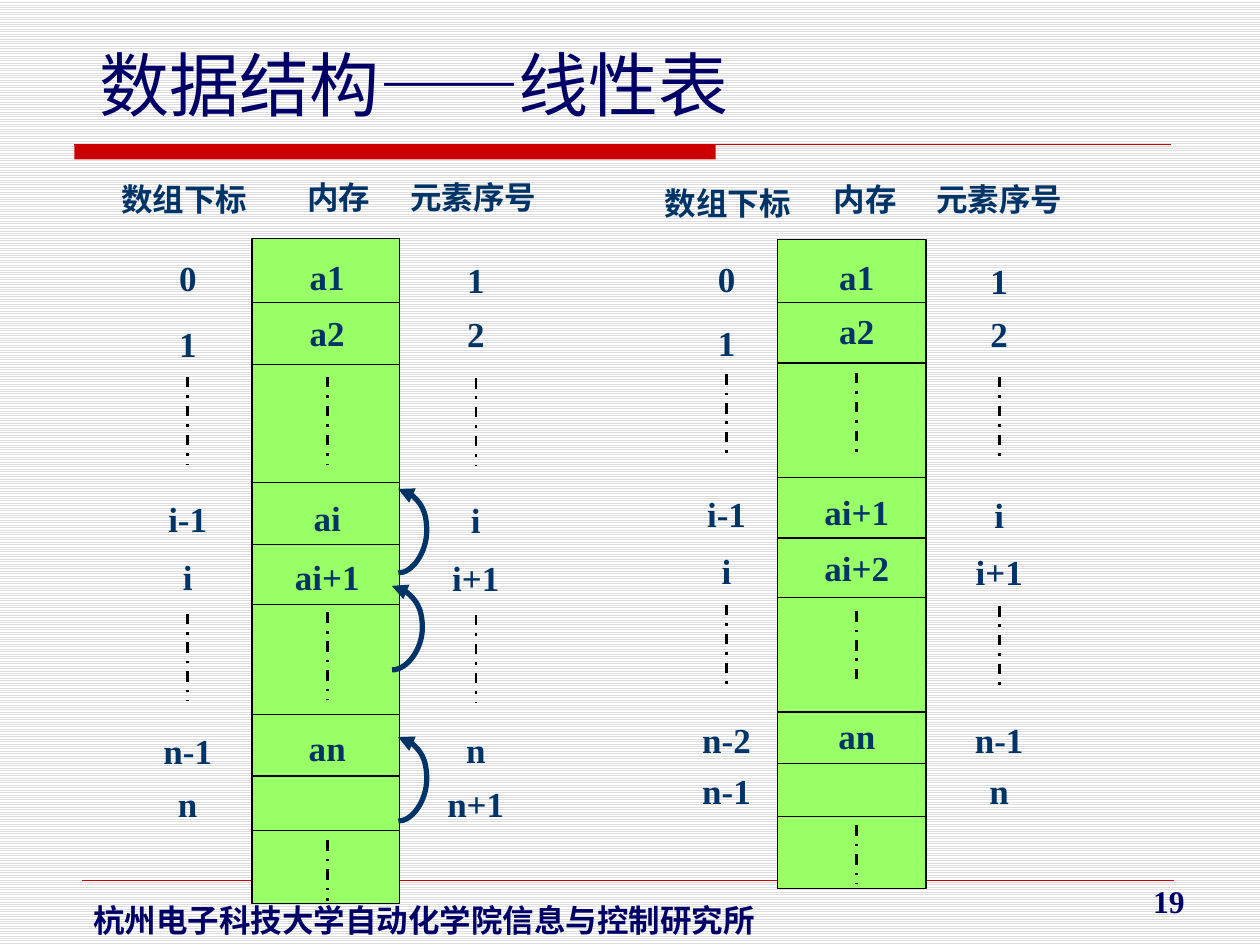
from lxml.etree import SubElement
from pptx import Presentation
from pptx.dml.color import RGBColor
from pptx.enum.dml import MSO_LINE, MSO_PATTERN
from pptx.enum.shapes import MSO_CONNECTOR as Link, MSO_SHAPE
from pptx.enum.text import MSO_ANCHOR, MSO_AUTO_SIZE, PP_ALIGN
from pptx.oxml.ns import qn
from pptx.util import Pt

WHITE = RGBColor(0xFF, 0xFF, 0xFF)
STRIPE = RGBColor(0xDD, 0xDD, 0xDD)
BLACK = RGBColor(0, 0, 0)
RED = RGBColor(0xCC, 0, 0)
NAVY = RGBColor(0, 0, 0x66)
BLUE = RGBColor(0, 0x33, 0x66)
GREEN = RGBColor(0x99, 0xFF, 0x66)
SERIF = "Times New Roman"

TITLE = [("数据结构", "DejaVu Sans"), ("——", "Arial"), ("线性表", "DejaVu Sans")]
FOOTER = "杭州电子科技大学自动化学院信息与控制研究所"
PAGE_NUMBER = "19"

LABEL_WIDTHS = {
    "数组下标": 88, "内存": 52, "元素序号": 88,
    "0": 26, "1": 26, "2": 26, "i": 22, "n": 28,
    "a1": 37, "a2": 37, "ai": 32, "an": 38, "ai+1": 54, "ai+2": 54,
    "i-1": 39, "i+1": 44, "n-1": 45, "n-2": 45, "n+1": 50,
}

# Each column: centre, (heading, centre, top), (label, top) pairs, dashed spans.
ARRAYS = [
    {
        "memory": (144, 136.1, 84.2, 380.2),
        "dividers": [172.8, 208.1, 275.8, 311, 345.6, 408.2, 443.5, 474.5],
        "columns": [
            (107.3, ("数组下标", 105.4, 99.4),
             [("0", 143.3), ("1", 180.7), ("i-1", 280.8), ("i", 313.9), ("n-1", 413.3), ("n", 443.5)],
             [(215.3, 265.7), (350.6, 400.3)]),
            (187, ("内存", 193.7, 98),
             [("a1", 142.6), ("a2", 174.2), ("ai", 280.1), ("ai+1", 313.9), ("an", 411.8)],
             [(215.3, 265), (350, 400.3), (480.2, 514.8)]),
            (271.9, ("元素序号", 270.5, 98),
             [("1", 144), ("2", 175), ("i", 281.5), ("i+1", 314.6), ("n", 412.6), ("n+1", 443.5)],
             [(216, 266.4), (351.4, 401)]),
        ],
    },
    {
        "memory": (444.2, 136.8, 85, 370.8),
        "dividers": [172.8, 207.4, 272.9, 307.4, 341.3, 406.8, 436.3, 466.6],
        "columns": [
            (415.2, ("数组下标", 416, 101.5),
             [("0", 143.6), ("1", 180), ("i-1", 277.9), ("i", 310.3), ("n-2", 406.8), ("n-1", 436.3)],
             [(213.8, 262.8), (345.6, 394.6)]),
            (489.6, ("内存", 494.6, 99.4),
             [("a1", 142.6), ("a2", 173.5), ("ai+1", 276.5), ("ai+2", 308.9), ("an", 404.6)],
             [(213.1, 262), (349.2, 389.5), (471.6, 505.4)]),
            (571, ("元素序号", 571, 99.4),
             [("1", 144.7), ("2", 175), ("i", 278.6), ("i+1", 311), ("n-1", 406.8), ("n", 436.3)],
             [(215.3, 264.2), (346.3, 395.3)]),
        ],
    },
]
MOVES = [(227.5, 421.2, 15), (223.9, 334.8, 16), (227.5, 279.4, 15)]
MOVE_HEIGHT = 48
MOVE_WIDTH = 0.13


def add_text(page, spans, left, top, width, height, size, color, bold=True, align=PP_ALIGN.LEFT):
    box = page.shapes.add_textbox(Pt(left), Pt(top), Pt(width), Pt(height))
    frame = box.text_frame
    frame.word_wrap = False
    frame.auto_size = MSO_AUTO_SIZE.NONE
    para = frame.paragraphs[0]
    para.alignment = align
    for text, font in spans:
        span = para.add_run()
        span.text = text
        span.font.size = Pt(size)
        span.font.bold = bold
        span.font.color.rgb = color
        span.font.name = font
    return frame


def add_label(page, text, center, top, size=20, height=31):
    width = LABEL_WIDTHS[text]
    add_text(page, [(text, SERIF)], center - width / 2, top, width, height, size, BLUE,
             align=PP_ALIGN.CENTER)


def add_line(page, x1, y1, x2, y2, color=BLACK, weight=0.75, kind=Link.STRAIGHT):
    line = page.shapes.add_connector(kind, Pt(x1), Pt(y1), Pt(x2), Pt(y2))
    line.line.color.rgb = color
    line.line.width = Pt(weight)
    SubElement(line._element.spPr, qn("a:effectLst"))
    return line


def add_rectangle(page, left, top, width, height, color):
    shape = page.shapes.add_shape(MSO_SHAPE.RECTANGLE, Pt(left), Pt(top), Pt(width), Pt(height))
    shape.shadow.inherit = False
    shape.fill.solid()
    shape.fill.fore_color.rgb = color
    return shape


def add_array(page, array):
    left, top, width, height = array["memory"]
    memory = add_rectangle(page, left, top, width, height, GREEN)
    memory.line.color.rgb = BLACK
    memory.line.width = Pt(0.75)
    for y in array["dividers"]:
        add_line(page, left, y, left + width, y)
    for center, (heading, heading_center, heading_top), labels, gaps in array["columns"]:
        add_label(page, heading, heading_center, heading_top, 18, 29)
        for text, label_top in labels:
            add_label(page, text, center, label_top)
        for start, end in gaps:
            dashes = add_line(page, center, start, center, end, weight=1.5)
            dashes.line.dash_style = MSO_LINE.DASH_DOT


def add_move(page, x, y, bulge):
    curve = add_line(page, x, y, x + MOVE_WIDTH, y + MOVE_HEIGHT, BLUE, 3, Link.CURVE)
    guides = curve._element.spPr.find(qn("a:prstGeom")).get_or_add_avLst()
    SubElement(guides, qn("a:gd"), name="adj1", fmla=f"val {round(bulge / MOVE_WIDTH * 100000)}")
    SubElement(curve.line._get_or_add_ln(), qn("a:headEnd"), type="triangle")


def main():
    deck = Presentation()
    deck.slide_width, deck.slide_height = Pt(720), Pt(540)
    page = deck.slides.add_slide(deck.slide_layouts[6])
    backdrop = page.background.fill
    backdrop.patterned()
    backdrop.pattern = MSO_PATTERN.LIGHT_HORIZONTAL
    backdrop.fore_color.rgb = STRIPE
    backdrop.back_color.rgb = WHITE

    bar = add_rectangle(page, 42.5, 82.5, 366.5, 8.6, RED)
    bar.line.fill.background()
    add_line(page, 42.5, 82.5, 669, 82.5, RED)
    add_line(page, 46.8, 503.2, 671, 503.2, RED, 0.25)
    add_text(page, TITLE, 49.7, 20.2, 374.4, 55.4, 40, NAVY, bold=False)
    add_text(page, [(FOOTER, SERIF)], 46.1, 511.2, 396, 29, 18, NAVY)
    for array in ARRAYS:
        add_array(page, array)
    for move in MOVES:
        add_move(page, *move)
    number = add_text(page, [(PAGE_NUMBER, SERIF)], 516.2, 500.4, 167.8, 29, 18, NAVY,
                      align=PP_ALIGN.RIGHT)
    number.word_wrap = True
    number.vertical_anchor = MSO_ANCHOR.MIDDLE
    deck.save("out.pptx")


if __name__ == "__main__":
    main()
